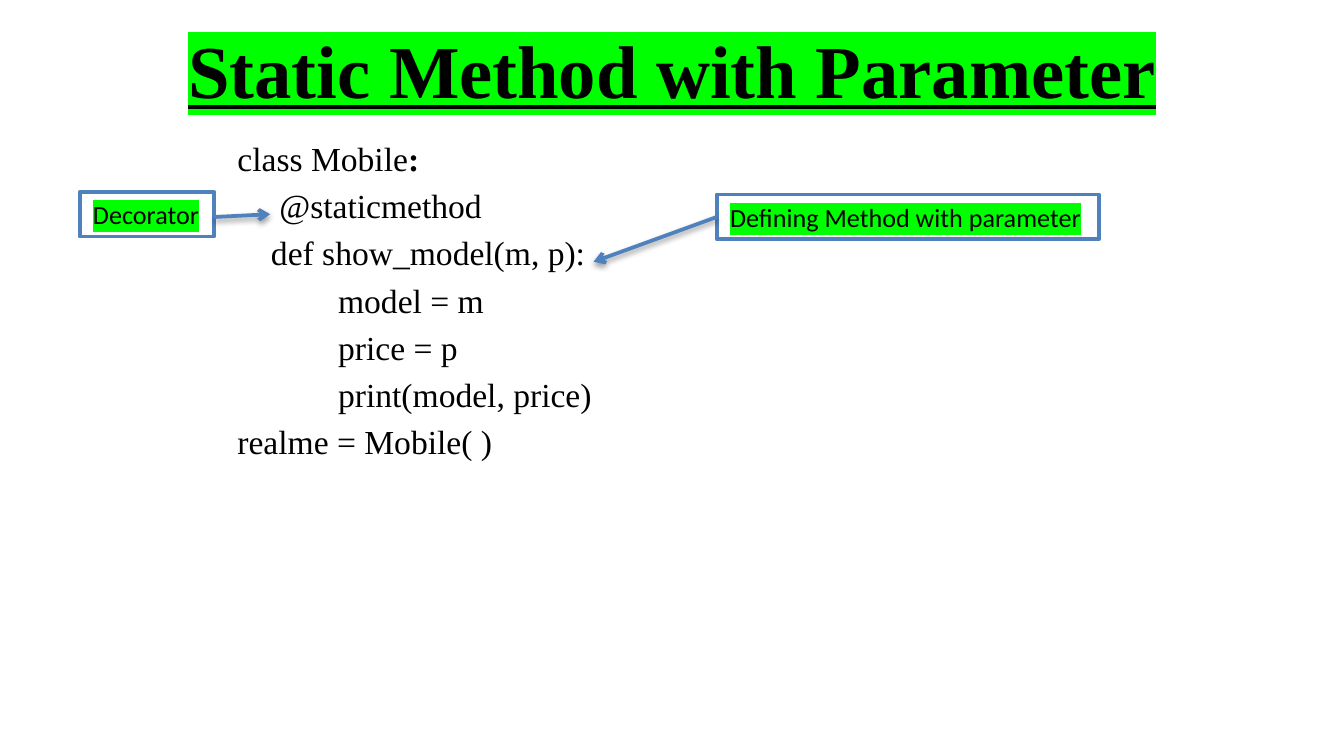
"""Build the slide on static methods with parameters."""
from lxml import etree
from pptx import Presentation
from pptx import util as u
from pptx.dml.color import RGBColor
from pptx.enum import shapes, text
from pptx.oxml.ns import qn

PX = 9525
COLORS = {"ink": "000000", "paper": "FFFFFF", "accent": "4F81BD", "marker": "00FF00"}


def style(r, font, size, highlight=False):
    r.font.name, r.font.size = font, u.Pt(size)
    r.font.color.rgb = RGBColor.from_string(COLORS["ink"])
    if highlight:
        mark = etree.Element(qn("a:highlight"))
        etree.SubElement(mark, qn("a:srgbClr"), val=COLORS["marker"])
        r.font._element.find(qn("a:latin")).addprevious(mark)


def place(sp, left, top, width, height):
    sp.left, sp.top, sp.width, sp.height = [v * PX for v in (left, top, width, height)]


prs = Presentation()
prs.slide_width, prs.slide_height = 960 * PX, 540 * PX
s = prs.slides.add_slide(prs.slide_layouts[1])

title = s.shapes.title
place(title, 48, 4, 864, 90)
title.text_frame.text = "Static Method with Parameter"
title.text_frame.auto_size = text.MSO_AUTO_SIZE.NONE
r = title.text_frame.paragraphs[0].runs[0]
style(r, "Times New Roman", 40, highlight=True)
r.font.bold = r.font.underline = True

body = s.placeholders[1]
place(body, 160, 94, 496, 356)
tf = body.text_frame
tf.text = """class Mobile
     @staticmethod
    def show_model(m, p):
            model = m
            price = p
            print(model, price)
realme = Mobile( )"""
tf.auto_size = text.MSO_AUTO_SIZE.NONE
colon = tf.paragraphs[0].add_run()
colon.text = ":"
colon.font.bold = True
for p in tf.paragraphs:
    pPr = p._p.get_or_add_pPr()
    pPr.set("marL", "0")
    pPr.set("indent", "0")
    etree.SubElement(pPr, qn("a:buNone"))
    for r in p.runs:
        style(r, "Times New Roman", 18)
tf.paragraphs[0].space_before = u.Pt(0)

callouts = [
    ("Defining Method with parameter", (512, 139, 273, 32), (512, 155, 424, 187)),
    ("Decorator", (57, 137, 96, 32), (153, 155, 193, 153)),
]
for label, box, ends in callouts:
    sp = s.shapes.add_shape(shapes.MSO_SHAPE.RECTANGLE, *[v * PX for v in box])
    sp.shadow.inherit = False
    sp.fill.solid()
    sp.fill.fore_color.rgb = RGBColor.from_string(COLORS["paper"])
    tf = sp.text_frame
    tf.text = label
    tf.word_wrap = False
    tf.auto_size = text.MSO_AUTO_SIZE.SHAPE_TO_FIT_TEXT
    tf.vertical_anchor = text.MSO_ANCHOR.TOP
    tf.paragraphs[0].alignment = text.PP_ALIGN.LEFT
    style(tf.paragraphs[0].runs[0], "Calibri", 14, highlight=True)

    arrow = s.shapes.add_connector(shapes.MSO_CONNECTOR.STRAIGHT, *[v * PX for v in ends])
    for outlined in (sp, arrow):
        outlined.line.color.rgb = RGBColor.from_string(COLORS["accent"])
        outlined.line.width = u.Pt(2)
    etree.SubElement(arrow.line._get_or_add_ln(), qn("a:tailEnd"), type="arrow")
    effects = etree.SubElement(arrow._element.spPr, qn("a:effectLst"))
    shadow = etree.SubElement(effects, qn("a:outerShdw"), blurRad="40000", dist="20000",
                              dir="5400000", rotWithShape="0")
    tint = etree.SubElement(shadow, qn("a:srgbClr"), val=COLORS["ink"])
    etree.SubElement(tint, qn("a:alpha"), val="38000")

prs.save("out.pptx")
